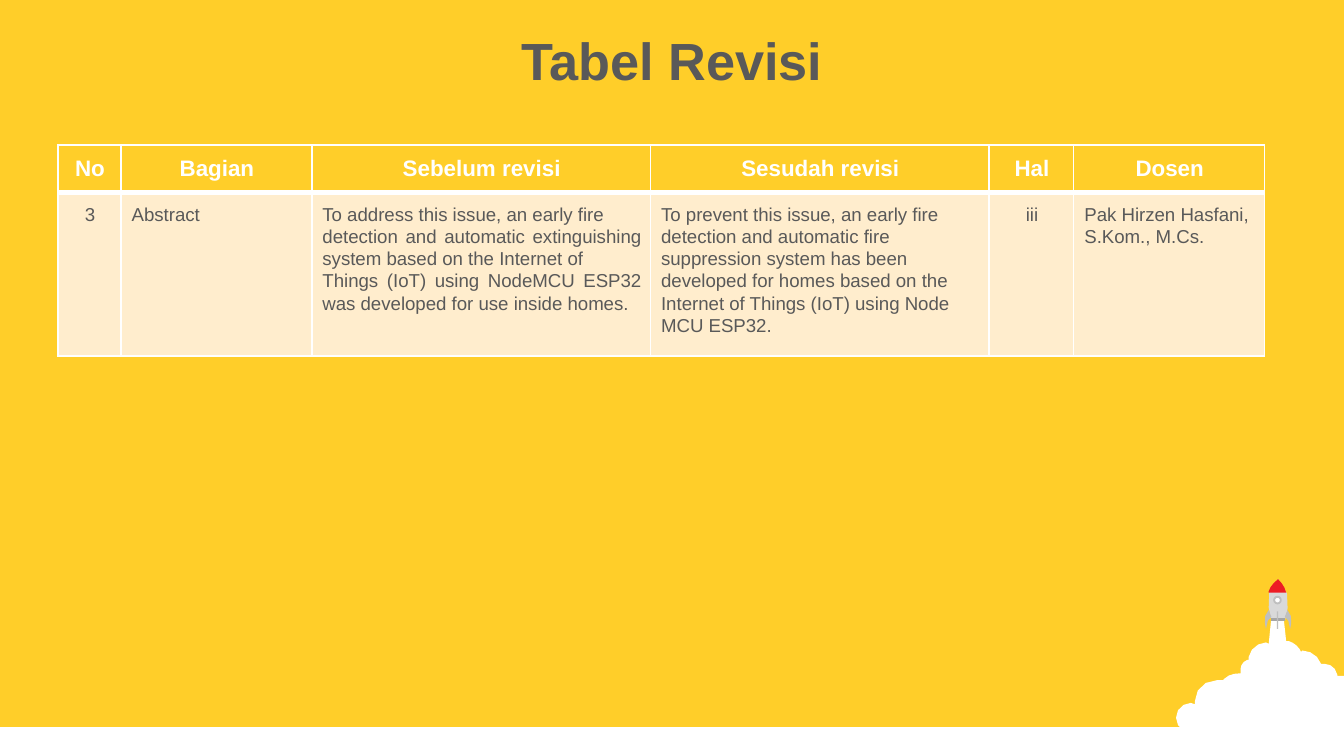
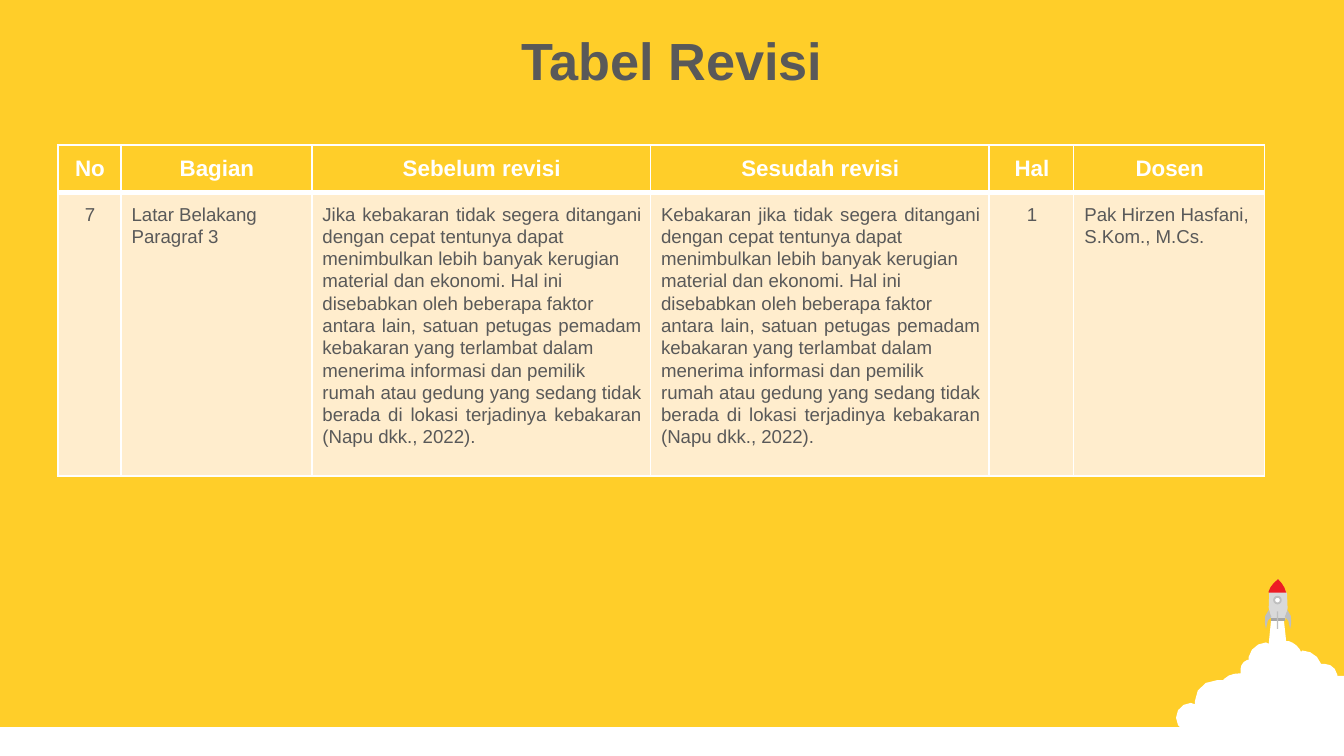
"""Builds two thesis revision table slides with a shared rocket corner."""
from lxml.etree import SubElement
from pptx import Presentation
from pptx.dml.color import RGBColor
from pptx.enum.shapes import MSO_SHAPE as Shape
from pptx.enum.text import MSO_ANCHOR as Anchor, PP_ALIGN as Align
from pptx.oxml.ns import qn
from pptx.util import Pt

PX = 9144
CURVE_STEPS = 3
FONT = "Arial"
COLORS = {
    "yellow": "FFCE29", "cream": "FFEDCD", "white": "FFFFFF", "text": "595959",
    "hull": "D9D9D9", "nozzle": "A6A6A6", "fin": "BFBFBF", "nose": "ED1C24",
}
RGB = {name: RGBColor.from_string(value) for name, value in COLORS.items()}

CLOUD = [
    (946, 459), (955, 459), (957, 477), (959, 477),
    (962, 478, 965, 480, 967, 483), (968, 485), (969, 484),
    (975, 484, 981, 488, 983, 494), (986, 494),
    (990, 494, 994, 497, 995, 502),
    (995, 503), (1000, 503), (1000, 560), (998, 560),
    (994, 560, 990, 559, 987, 557), (986, 556), (985, 557),
    (983, 558, 981, 559, 978, 559), (975, 559, 973, 557, 971, 555),
    (969, 554), (969, 555), (967, 558, 964, 559, 960, 559),
    (957, 559, 954, 558, 952, 556), (951, 555), (949, 556),
    (945, 559, 940, 561, 934, 561), (923, 561, 917, 556, 913, 551),
    (911, 553, 907, 554, 904, 553), (900, 552, 894, 550, 893, 545),
    (893, 543), (892, 544), (891, 545, 889, 545, 886, 545),
    (880, 545, 875, 540, 875, 534), (875, 528, 880, 523, 886, 523),
    (889, 524), (889, 522), (889, 513, 896, 506, 906, 506),
    (910, 506), (911, 505), (914, 502, 918, 501, 923, 501), (923, 498),
    (923, 495, 925, 492, 928, 491),
    (929, 491), (929, 489), (930, 483, 936, 478, 942, 478), (944, 479),
]
HULL = [(946, 462), (944, 453, 940, 440, 951, 431), (962, 441, 958, 454, 956, 462)]
NOZZLE = [(946, 460), (956, 460), (956, 462), (946, 462)]
NOSE = [(951, 431), (954, 434, 956, 437, 957, 441), (944, 441), (944, 440),
        (945, 437, 947, 434, 951, 431)]
LEFT_FIN = [(944, 454), (946, 459), (942, 461, 943, 466, 942, 468),
            (941, 465, 940, 457, 944, 454)]
RIGHT_FIN = [tuple(1902 - value if index % 2 == 0 else value
                   for index, value in enumerate(segment)) for segment in LEFT_FIN]

OUTLINES = [(CLOUD, "white"), (HULL, "hull"), (NOZZLE, "nozzle"), (NOSE, "nose"),
            (LEFT_FIN, "fin"), (RIGHT_FIN, "fin")]

HEADERS = ["No", "Bagian", "Sebelum revisi", "Sesudah revisi", "Hal", "Dosen"]
COLUMN_WIDTHS = [47, 142, 252, 252, 63, 142]
ALIGNMENTS = [Align.CENTER, Align.LEFT, Align.JUSTIFY, Align.JUSTIFY, Align.CENTER, Align.LEFT]
HEADER_HEIGHT = 34
LECTURER = "Pak Hirzen Hasfani, S.Kom., M.Cs."
FIRE_DELAY = """ tidak segera ditangani dengan cepat tentunya dapat
menimbulkan lebih banyak kerugian
material dan ekonomi. Hal ini
disebabkan oleh beberapa faktor
antara lain, satuan petugas pemadam kebakaran yang terlambat dalam
menerima informasi dan pemilik
rumah atau gedung yang sedang tidak berada di lokasi terjadinya kebakaran (Napu dkk., 2022)."""
REVISIONS = [
    (115, ["3", "Abstract",
           """To address this issue, an early fire
detection and automatic extinguishing system based on the Internet of
Things (IoT) using NodeMCU ESP32 was developed for use inside homes.""",
           """To prevent this issue, an early fire
detection and automatic fire
suppression system has been
developed for homes based on the
Internet of Things (IoT) using Node
MCU ESP32.""", "iii", LECTURER]),
    (197, ["7", "Latar Belakang\nParagraf 3", "Jika kebakaran" + FIRE_DELAY,
           "Kebakaran jika" + FIRE_DELAY, "1", LECTURER]),
]


def draw_outline(shapes, segments, color):
    points = []
    for segment in segments:
        if len(segment) == 2:
            points.append(segment)
            continue
        controls = [points[-1], segment[:2], segment[2:4], segment[4:]]
        for step in range(1, CURVE_STEPS + 1):
            t = step / CURVE_STEPS
            weights = [(1 - t) ** 3, 3 * t * (1 - t) ** 2, 3 * t ** 2 * (1 - t), t ** 3]
            points.append(tuple(sum(weight * control[axis] for weight, control
                                    in zip(weights, controls)) for axis in (0, 1)))
    points = [(round(x * PX), round(y * PX)) for x, y in points]
    builder = shapes.build_freeform(*points[0], scale=1.0)
    builder.add_line_segments(points[1:], close=True)
    shape = builder.convert_to_shape()
    shape.shadow.inherit = False
    shape.fill.solid()
    shape.fill.fore_color.rgb = RGB[color]
    shape.line.fill.background()


def write_text(text_frame, text, size, color, bold, alignment, line_spacing=1.0):
    text_frame.text = text
    for paragraph in text_frame.paragraphs:
        paragraph.alignment = alignment
        paragraph.line_spacing = line_spacing
        for run in paragraph.runs:
            run.font.name = FONT
            run.font.size = Pt(size)
            run.font.bold = bold
            run.font.color.rgb = RGB[color]


presentation = Presentation()
presentation.slide_width = 1000 * PX
presentation.slide_height = 5143500
background = presentation.slide_master.background.fill
background.solid()
background.fore_color.rgb = RGB["yellow"]

for body_height, values in REVISIONS:
    slide = presentation.slides.add_slide(presentation.slide_layouts[6])

    rocket = slide.shapes.add_group_shape()
    for segments, color in OUTLINES:
        draw_outline(rocket.shapes, segments, color)
    for shapes, kind, box, color in [
        (slide.shapes, Shape.RECTANGLE, (0, 541, 1000, 24), "white"),
        (rocket.shapes, Shape.OVAL, (948, 444, 5, 5), "white"),
        (rocket.shapes, Shape.RECTANGLE, (950, 455, 1, 13), "fin"),
    ]:
        shape = shapes.add_shape(kind, *[length * PX for length in box])
        shape.shadow.inherit = False
        shape.fill.solid()
        shape.fill.fore_color.rgb = RGB[color]
        if kind == Shape.OVAL:
            shape.line.color.rgb = RGB["fin"]
            shape.line.width = Pt(1)
        else:
            shape.line.fill.background()

    title = slide.shapes.add_textbox(0, 13 * PX, 1000 * PX, 63 * PX).text_frame
    title.word_wrap = True
    title.vertical_anchor = Anchor.MIDDLE
    write_text(title, "Tabel Revisi", 28, "text", True, Align.CENTER)

    table = slide.shapes.add_table(
        2, len(HEADERS), 43 * PX, 108 * PX, sum(COLUMN_WIDTHS) * PX,
        (HEADER_HEIGHT + body_height) * PX).table
    table.horz_banding = False
    for column, width in zip(table.columns, COLUMN_WIDTHS):
        column.width = width * PX
    for row, height in zip(table.rows, (HEADER_HEIGHT, body_height)):
        row.height = height * PX

    for row_index, texts in enumerate((HEADERS, values)):
        is_header = row_index == 0
        for column_index, text in enumerate(texts):
            cell = table.cell(row_index, column_index)
            cell.margin_left = (11 if is_header else 8) * PX
            cell.margin_right = (10 if is_header else 7) * PX
            cell.margin_top = 8 * PX
            cell.margin_bottom = 7 * PX
            if is_header:
                write_text(cell.text_frame, text, 12, "white", True, Align.CENTER)
            else:
                write_text(cell.text_frame, text, 10, "text", False,
                           ALIGNMENTS[column_index], 1.07)
            shared_edge = "a:lnB" if is_header else "a:lnT"
            properties = cell._tc.get_or_add_tcPr()
            for edge in ("a:lnL", "a:lnR", "a:lnT", "a:lnB"):
                border = SubElement(properties, qn(edge), w=str(Pt(3 if edge == shared_edge else 1)))
                fill = SubElement(border, qn("a:solidFill"))
                SubElement(fill, qn("a:srgbClr"), val=COLORS["white"])
            cell.fill.solid()
            cell.fill.fore_color.rgb = RGB["yellow" if is_header else "cream"]

presentation.save("out.pptx")
